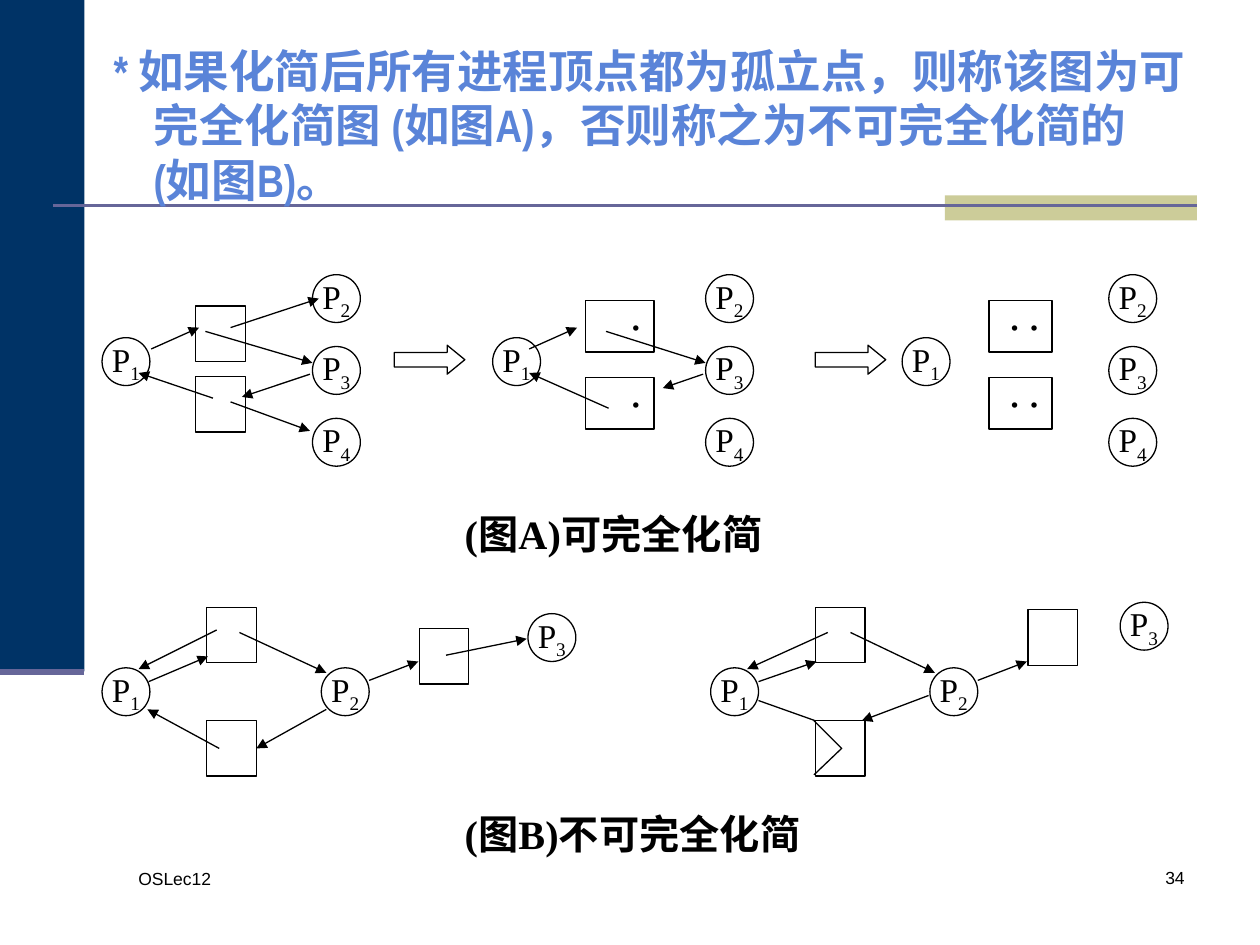
from dataclasses import dataclass
from typing import NamedTuple

from lxml import etree
from pptx import Presentation
from pptx.dml.color import RGBColor
from pptx.enum.shapes import MSO_CONNECTOR, MSO_SHAPE
from pptx.enum.text import MSO_ANCHOR, PP_ALIGN
from pptx.oxml.ns import qn
from pptx.util import Inches, Length, Pt

RECT, OVAL, BLOCK = MSO_SHAPE.RECTANGLE, MSO_SHAPE.OVAL, MSO_SHAPE.RIGHT_ARROW
LINE = MSO_CONNECTOR.STRAIGHT
TOP, MID = MSO_ANCHOR.TOP, MSO_ANCHOR.MIDDLE
LEFT, CENTER, RIGHT = PP_ALIGN.LEFT, PP_ALIGN.CENTER, PP_ALIGN.RIGHT
COLS, ROWS = 1000, 750
WIDE, HIGH = Inches(10), Inches(7.5)
NODE = 38


@dataclass(frozen=True)
class Theme:
    navy: str = "003366"
    sand: str = "CCCC99"
    rule: str = "666699"
    title: str = "5A84D8"
    ink: str = "000000"
    serif: str = "Times New Roman"
    sans: str = "Arial"
    narrow: str = "Arial Narrow"
    head: int = 26
    note: int = 23
    label: int = 19
    foot: int = 10
    thin: float = 0.75


THEME = Theme()


class Area(NamedTuple):
    x: float
    y: float
    w: float
    h: float


class Node(NamedTuple):
    x: int
    y: int
    mark: str


class Box(NamedTuple):
    area: Area
    dots: str = ""


class Edge(NamedTuple):
    x1: int
    y1: int
    x2: int
    y2: int
    tip: bool = True


class Note(NamedTuple):
    area: Area
    text: str
    face: str
    size: int
    color: str = THEME.ink
    bold: bool = False
    align: PP_ALIGN = LEFT
    hang: float = 0


def col(n: float) -> Length:
    return Length(round(WIDE * n / COLS))


def row(n: float) -> Length:
    return Length(round(HIGH * n / ROWS))


def place(a: Area) -> tuple:
    return col(a.x), row(a.y), col(a.w), row(a.h)


def paint(shape, fill: str = "") -> None:
    shape.shadow.inherit = False
    if fill:
        shape.fill.solid()
        shape.fill.fore_color.rgb = RGBColor.from_string(fill)
        shape.line.fill.background()
    else:
        shape.fill.background()
        shape.line.color.rgb = RGBColor.from_string(THEME.ink)
        shape.line.width = Pt(THEME.thin)


def draw(slide, kind, area: Area, fill: str = ""):
    shape = slide.shapes.add_shape(kind, *place(area))
    paint(shape, fill)
    return shape


def write(shape, text: str, face: str, size: int, color: str = THEME.ink,
          bold: bool = False, align=LEFT, wrap: bool = True, anchor=TOP):
    frame = shape.text_frame
    frame.word_wrap, frame.vertical_anchor = wrap, anchor
    para = frame.paragraphs[0]
    para.alignment = align
    run = para.add_run()
    run.text = text
    form = {"name": face, "size": Pt(size), "bold": bold}
    for key, val in form.items():
        setattr(run.font, key, val)
    run.font.color.rgb = RGBColor.from_string(color)
    return para, run


def add_node(slide, node: Node) -> None:
    shape = draw(slide, OVAL, Area(node.x, node.y, NODE, NODE))
    look = {"face": THEME.serif, "size": THEME.label, "align": CENTER,
            "wrap": False, "anchor": MID}
    write(shape, "P", **look)
    _, sub = write(shape, node.mark, **look)
    sub._r.get_or_add_rPr().set("baseline", "-25000")


def add_box(slide, box: Box):
    shape = draw(slide, RECT, box.area)
    if box.dots:
        write(shape, box.dots, THEME.serif, THEME.label, bold=True, align=RIGHT)
    return shape


def add_note(slide, note: Note) -> None:
    shape = slide.shapes.add_textbox(*place(note.area))
    para, _ = write(shape, *note[1:-1])
    if note.hang:
        props = para._p.get_or_add_pPr()
        props.set("marL", str(Inches(note.hang)))
        props.set("indent", str(-Inches(note.hang)))


def add_line(slide, edge: Edge, color: str = THEME.ink, width: float = THEME.thin):
    wire = slide.shapes.add_connector(
        LINE, col(edge.x1), row(edge.y1), col(edge.x2), row(edge.y2))
    wire.line.color.rgb = RGBColor.from_string(color)
    wire.line.width = Pt(width)
    if edge.tip:
        etree.SubElement(wire.line._get_or_add_ln(), qn("a:tailEnd"), type="triangle")
    etree.SubElement(wire._element.spPr, qn("a:effectLst"))
    return wire


def join(wire, edge: Edge, box: Box, shape) -> None:
    a = box.area
    for site, x in ((1, a.x), (3, a.x + a.w)):
        if abs(edge.x2 - x) <= 1 and abs(edge.y2 - a.y - a.h / 2) <= 1:
            wire.end_connect(shape, site)


BANDS = [(Area(0, 0, 67, 533), THEME.navy), (Area(750, 155, 200, 20), THEME.sand)]
RULES = [(Edge(42, 163, 950, 163, False), 1.5), (Edge(0, 533, 67, 533, False), 3.5)]
NOTES = [
    Note(Area(100, 684, 217, 50), "OSLec12", THEME.sans, THEME.foot),
    Note(Area(742, 683, 208, 50), "34", THEME.sans, THEME.foot, align=RIGHT),
    Note(Area(72, 29, 885, 139),
         " * 如果化简后所有进程顶点都为孤立点，则称该图为可完全化简图 (如图A)，"
         "否则称之为不可完全化简的 (如图B)。",
         THEME.narrow, THEME.head, THEME.title, True, hang=0.4),
]
NOTES += [Note(Area(359, y, w, 48), text, THEME.serif, THEME.note, bold=True)
          for y, w, text in ((399, 300, "(图A)可完全化简"), (637, 330, "(图B)不可完全化简"))]
NODES = [Node(x, 268, "1") for x in (81, 391, 716)]
NODES += [Node(x, 218 + 57 * i, mark)
          for x in (248, 560, 880) for i, mark in enumerate("234")]
NODES += [Node(x + dx, 530, mark)
          for x in (81, 564) for dx, mark in ((0, "1"), (174, "2"))]
NODES += [Node(419, 487, "3"), Node(889, 478, "3")]
BOXES = [Box(Area(155, y, 40, 44)) for y in (243, 299)]
BOXES += [Box(Area(x, y, w, 41), dots)
          for x, w, dots in ((465, 54, "·"), (785, 50, "· ·")) for y in (238.5, 299.5)]
BOXES += [Box(Area(x, y, 39.5, 44)) for x in (164, 647) for y in (482, 572)]
BOXES += [Box(Area(333, 499, 39, 44)), Box(Area(816, 484, 39, 44))]
BLOCKS = [Area(x, 274, 56, 23) for x in (313, 647)]
EDGES = [
    Edge(120, 277, 158, 260), Edge(169, 316, 110, 296), Edge(183, 260, 253, 237),
    Edge(163, 263, 248, 288), Edge(246, 297, 192, 315), Edge(183, 319, 246, 342),
    Edge(420, 277, 458, 260), Edge(483, 324, 420, 296), Edge(481, 263, 560, 288),
    Edge(558, 297, 526, 308),
    Edge(172, 500, 110, 531), Edge(118, 541, 165, 521), Edge(174, 594, 117, 563),
    Edge(190, 502, 259, 534), Edge(259, 563, 203, 595), Edge(293, 540, 332, 525),
    Edge(354, 520, 418, 507),
    Edge(657, 502, 593, 531), Edge(602, 541, 648, 525), Edge(675, 502, 742, 534),
    Edge(737, 552, 684, 572), Edge(776, 540, 815, 525), Edge(602, 556, 647, 572, False),
]
HOOK = [(646, 572), (668, 594), (646, 615)]


def main() -> None:
    deck = Presentation()
    deck.slide_width, deck.slide_height = WIDE, HIGH
    slide = deck.slides.add_slide(deck.slide_layouts[6])
    for area, fill in BANDS:
        draw(slide, RECT, area, fill)
    for edge, width in RULES:
        add_line(slide, edge, THEME.rule, width)
    for note in NOTES:
        add_note(slide, note)
    for node in NODES:
        add_node(slide, node)
    made = [(box, add_box(slide, box)) for box in BOXES]
    for area in BLOCKS:
        draw(slide, BLOCK, area).adjustments[1] = 0.61
    for edge in EDGES:
        wire = add_line(slide, edge)
        for box, shape in made:
            join(wire, edge, box, shape)
    pts = [(col(x), row(y)) for x, y in HOOK]
    pen = slide.shapes.build_freeform(*pts[0])
    pen.add_line_segments(pts[1:], close=False)
    paint(pen.convert_to_shape())
    deck.save("out.pptx")


if __name__ == "__main__":
    main()
